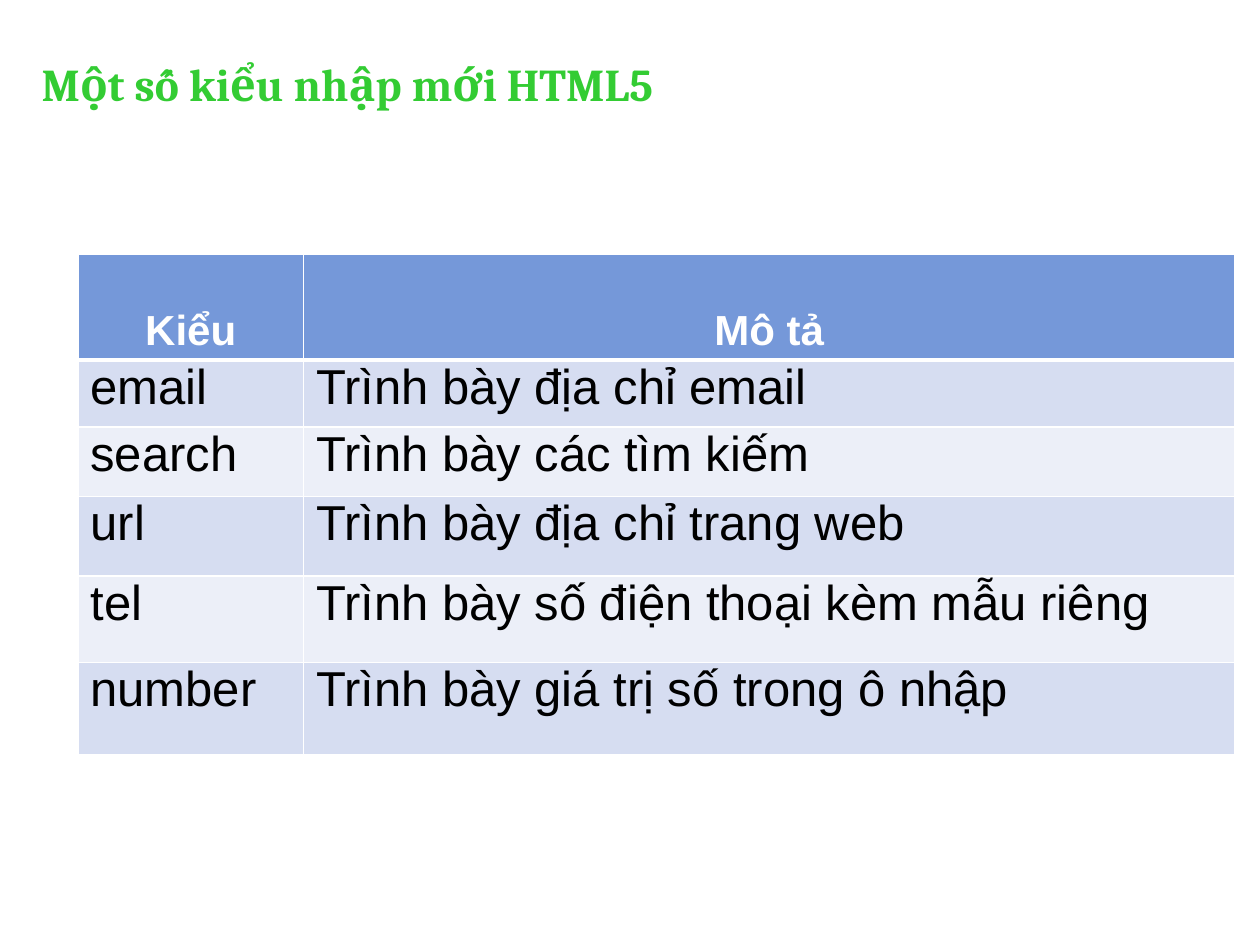
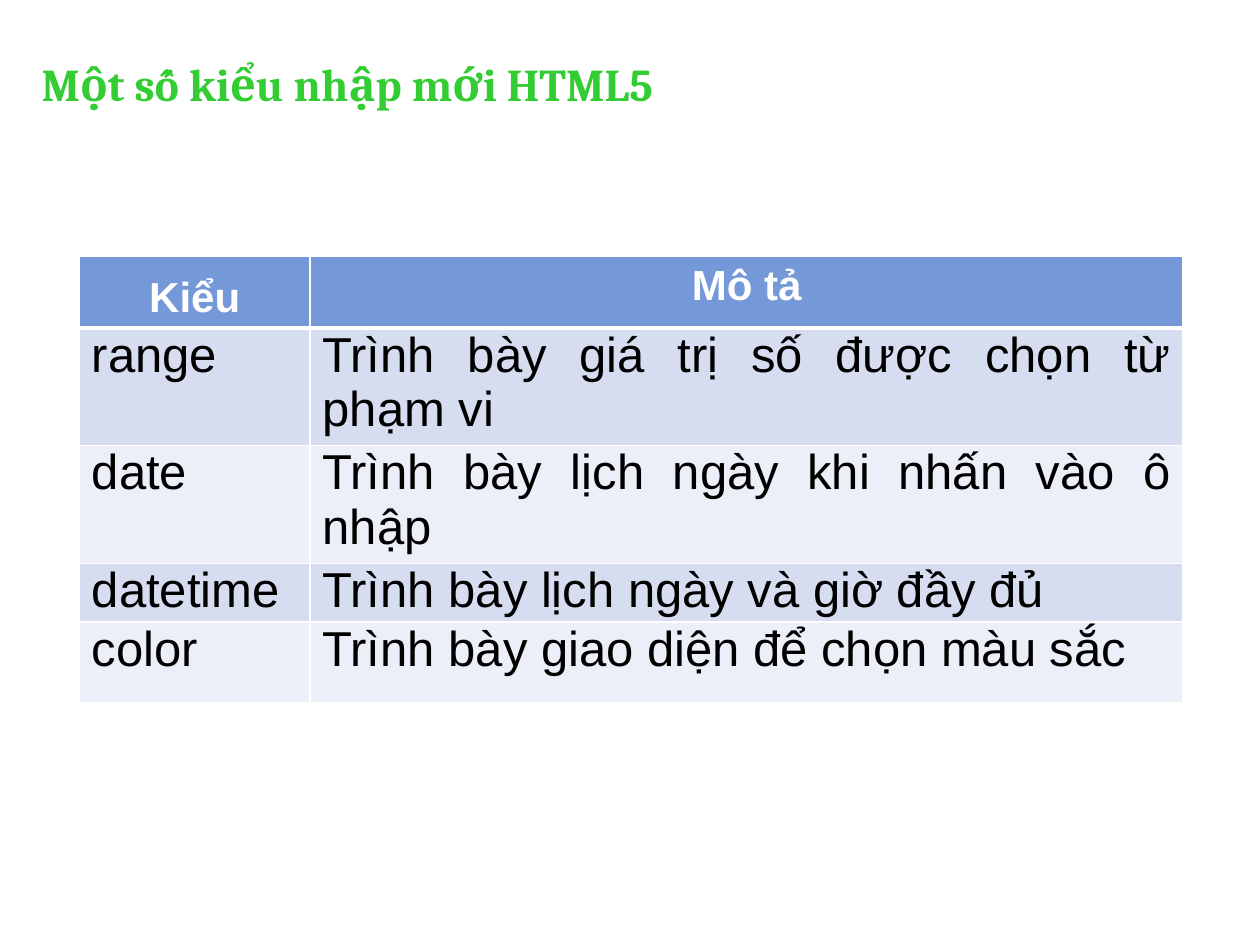
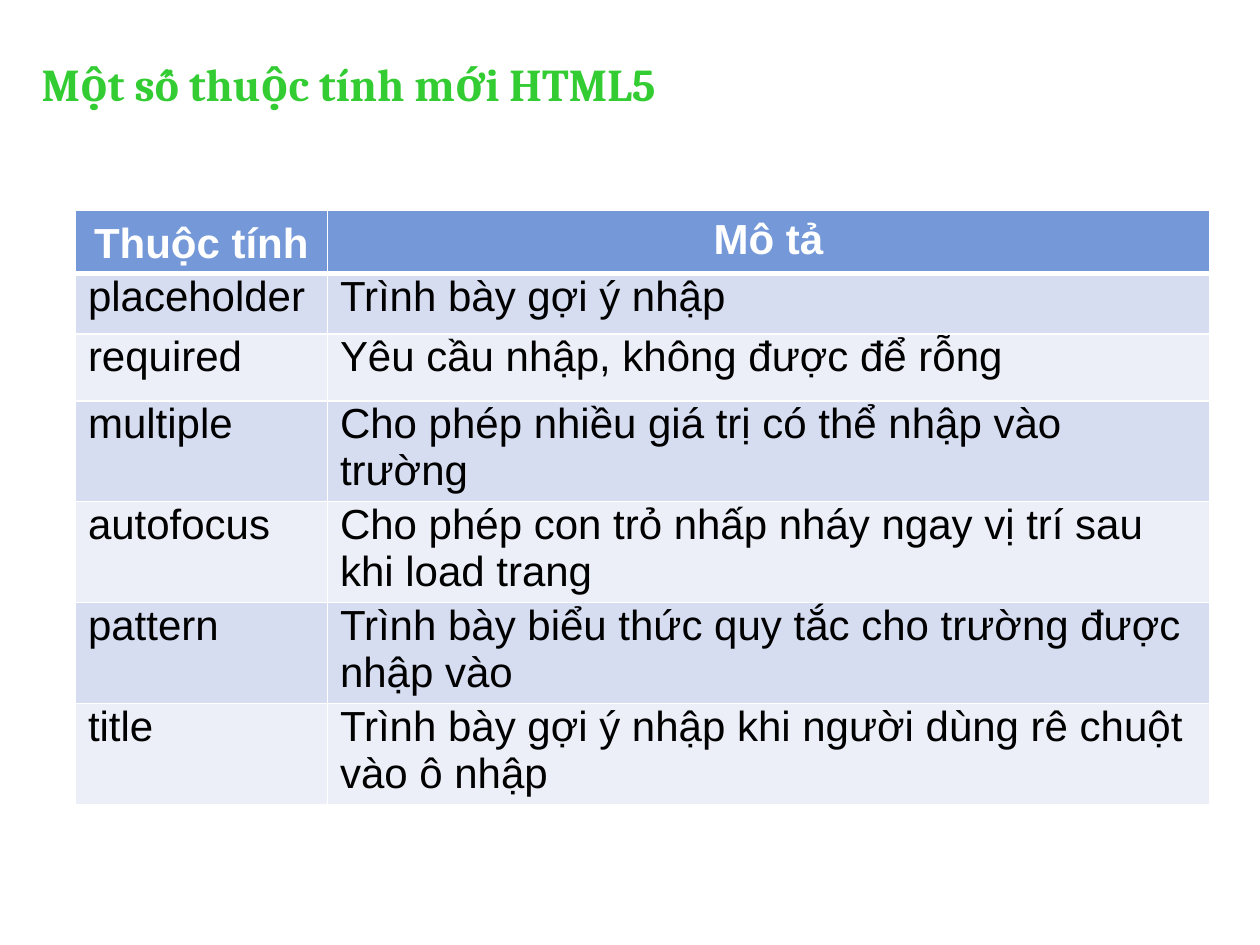
"""Three slides of tables on the new HTML5 input types and attributes."""
from lxml import etree
from pptx import Presentation
from pptx.dml.color import RGBColor
from pptx.enum.text import MSO_ANCHOR, PP_ALIGN
from pptx.oxml.ns import qn
from pptx.util import Cm, Pt

TOP, BOTTOM = MSO_ANCHOR.TOP, MSO_ANCHOR.BOTTOM
LEFT, CENTER, JUSTIFY = PP_ALIGN.LEFT, PP_ALIGN.CENTER, PP_ALIGN.JUSTIFY

GREEN = RGBColor(0x33, 0xCC, 0x33)
HEADER_BLUE = RGBColor(0x75, 0x98, 0xD9)
BAND_BLUE = RGBColor(0xD6, 0xDD, 0xF1)
BAND_PALE = RGBColor(0xEC, 0xEF, 0xF8)
WHITE = RGBColor(0xFF, 0xFF, 0xFF)
BLACK = RGBColor(0x00, 0x00, 0x00)

TOPICS = [
    {
        "title": "Một số kiểu nhập mới HTML5",
        "corner": (1.57, 5.13),
        "widths": (4.55, 18.77),
        "heights": (2.13, 1.35, 1.4, 1.6, 1.75, 1.85),
        "heading_anchor": BOTTOM,
        "body_size": 28,
        "description_align": LEFT,
        "rows": [
            ("Kiểu", "Mô tả"),
            ("email", "Trình bày địa chỉ email"),
            ("search", "Trình bày các tìm kiếm"),
            ("url", "Trình bày địa chỉ trang web"),
            ("tel", "Trình bày số điện thoại kèm mẫu riêng"),
            ("number", "Trình bày giá trị số trong ô nhập"),
        ],
    },
    {
        "title": "Một số kiểu nhập mới HTML5",
        "corner": (1.6, 5.16),
        "widths": (4.65, 17.6),
        "heights": (1.45, 2.2, 2.2, 1.1, 1.63),
        "heading_anchor": TOP,
        "body_size": 28,
        "description_align": JUSTIFY,
        "rows": [
            ("Kiểu", "Mô tả"),
            ("range", "Trình bày giá trị số được chọn từ phạm vi"),
            ("date", "Trình bày lịch ngày khi nhấn vào ô nhập"),
            ("datetime", "Trình bày lịch ngày và giờ đầy đủ"),
            ("color", "Trình bày giao diện để chọn màu sắc"),
        ],
    },
    {
        "title": "Một số thuộc tính mới HTML5",
        "corner": (1.52, 4.24),
        "widths": (5.08, 17.78),
        "heights": (1.17, 1.22, 1.35, 1.88, 1.88, 1.88, 1.88),
        "heading_anchor": TOP,
        "body_size": 24,
        "description_align": LEFT,
        "rows": [
            ("Thuộc tính", "Mô tả"),
            ("placeholder", "Trình bày gợi ý nhập"),
            ("required", "Yêu cầu nhập, không được để rỗng"),
            ("multiple", "Cho phép nhiều giá trị có thể nhập vào trường"),
            ("autofocus", "Cho phép con trỏ nhấp nháy ngay vị trí sau khi load trang"),
            ("pattern", "Trình bày biểu thức quy tắc cho trường được nhập vào"),
            ("title", "Trình bày gợi ý nhập khi người dùng rê chuột vào ô nhập"),
        ],
    },
]


def write(frame, text, font_name, size, color, bold, align):
    frame.text = text
    paragraph = frame.paragraphs[0]
    paragraph.alignment = align
    font = paragraph.runs[0].font
    font.name, font.size, font.bold = font_name, Pt(size), bold
    font.color.rgb = color
    return paragraph


def add_borders(cell, top, bottom):
    properties = cell._tc.get_or_add_tcPr()
    for side, points in (("L", 1), ("R", 1), ("T", top), ("B", bottom)):
        border = etree.SubElement(properties, qn(f"a:ln{side}"), w=str(Pt(points)))
        fill = etree.SubElement(border, qn("a:solidFill"))
        etree.SubElement(fill, qn("a:srgbClr"), val=str(WHITE))


deck = Presentation()
deck.slide_width, deck.slide_height = Cm(25.4), Cm(19.05)

for topic in TOPICS:
    slide = deck.slides.add_slide(deck.slide_layouts[6])

    title = slide.shapes.add_textbox(Cm(0.84), Cm(1.14), Cm(23.67), Cm(1.8)).text_frame
    title.word_wrap = True
    title.margin_left = title.margin_right = 0
    heading = write(title, topic["title"], "Cambria", 26, GREEN, True, LEFT)
    heading.line_spacing = 0.9

    rows, widths, heights = topic["rows"], topic["widths"], topic["heights"]
    left, top = topic["corner"]
    table = slide.shapes.add_table(
        len(rows), len(widths), Cm(left), Cm(top), Cm(sum(widths)), Cm(sum(heights))
    ).table
    for column, width in zip(table.columns, widths):
        column.width = Cm(width)
    for row, height in zip(table.rows, heights):
        row.height = Cm(height)

    for r, entry in enumerate(rows):
        for c, text in enumerate(entry):
            cell = table.cell(r, c)
            add_borders(cell, 3 if r == 1 else 1, 3 if r == 0 else 1)
            cell.fill.solid()
            if r == 0:
                cell.fill.fore_color.rgb = HEADER_BLUE
                cell.vertical_anchor = BOTTOM if c == 0 else topic["heading_anchor"]
                write(cell.text_frame, text, "Arial", 24, WHITE, True, CENTER)
            else:
                cell.fill.fore_color.rgb = BAND_BLUE if r % 2 else BAND_PALE
                cell.margin_top = cell.margin_bottom = 0
                align = topic["description_align"] if c else LEFT
                write(cell.text_frame, text, "Arial", topic["body_size"], BLACK, False, align)

deck.save("out.pptx")
